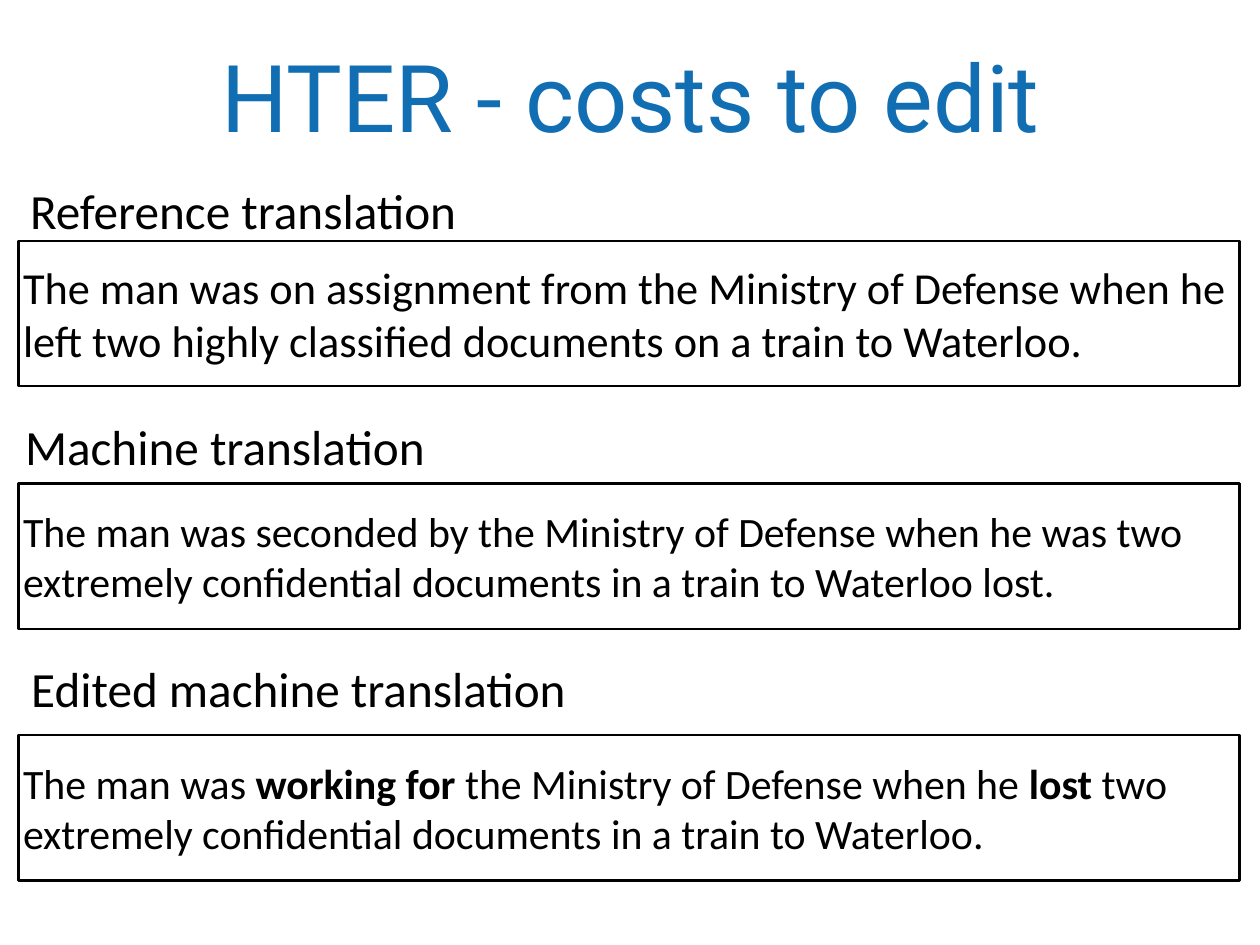
import dataclasses

import pptx
import pptx.dml.color
import pptx.enum.shapes
import pptx.enum.text
import pptx.util

Inches = pptx.util.Inches
Pt = pptx.util.Pt
ALIGN = pptx.enum.text.PP_ALIGN


@dataclasses.dataclass(frozen=True)
class Theme:
    title_color: str = "126EB2"
    ink: str = "000000"
    paper: str = "FFFFFF"
    title_font: str = "Roboto"
    body_font: str = "Calibri"
    title_size: int = 76
    label_size: int = 40
    large_size: int = 36
    body_size: int = 34
    border: int = 2
    inset: float = 0.05


THEME = Theme()
LEFT, WIDTH = 0.21, 13.78
LABEL_HEIGHT, SENTENCE_HEIGHT = 0.75, 1.64

# Label, label top, label width, sentence top, type size, (text, bold) runs
TRANSLATIONS = [
    ("Reference translation", 1.99, 5.07, 2.72, THEME.large_size, [
        ("The man was on assignment from the Ministry of Defense when he "
         "left two highly classified documents on a train to Waterloo.", False)]),
    ("Machine translation", 4.66, 4.66, 5.46, THEME.body_size, [
        ("The man was seconded by the Ministry of Defense when he was two "
         "extremely confidential documents in a train to Waterloo lost.", False)]),
    ("Edited machine translation", 7.39, 6.32, 8.3, THEME.body_size, [
        ("The man was", False),
        (" working for", True),
        (" the Ministry of Defense when he ", False),
        ("lost", True),
        (" two extremely confidential documents in a train to Waterloo.", False)]),
]


def rgb(value):
    return pptx.dml.color.RGBColor.from_string(value)


def write_text(shape, runs, size, alignment, font=THEME.body_font, color=THEME.ink):
    frame = shape.text_frame
    frame.word_wrap = True
    frame.vertical_anchor = pptx.enum.text.MSO_ANCHOR.MIDDLE
    frame.margin_left = frame.margin_right = Inches(THEME.inset)
    frame.margin_top = frame.margin_bottom = Inches(THEME.inset)
    paragraph = frame.paragraphs[0]
    paragraph.alignment = alignment
    for text, bold in runs:
        run = paragraph.add_run()
        run.text = text
        run.font.name = font
        run.font.size = Pt(size)
        run.font.bold = bold
        run.font.color.rgb = rgb(color)


def add_title(slide, box, text):
    title = slide.shapes.add_textbox(*map(Inches, box))
    write_text(title, [(text, False)], THEME.title_size, ALIGN.CENTER,
               THEME.title_font, THEME.title_color)


def add_label(slide, box, text):
    label = slide.shapes.add_textbox(*map(Inches, box))
    write_text(label, [(text, False)], THEME.label_size, ALIGN.CENTER)


def add_sentence(slide, box, runs, size):
    rectangle = slide.shapes.add_shape(
        pptx.enum.shapes.MSO_SHAPE.RECTANGLE, *map(Inches, box))
    rectangle.shadow.inherit = False
    rectangle.fill.solid()
    rectangle.fill.fore_color.rgb = rgb(THEME.paper)
    rectangle.line.color.rgb = rgb(THEME.ink)
    rectangle.line.width = Pt(THEME.border)
    write_text(rectangle, runs, size, ALIGN.LEFT)


def main():
    presentation = pptx.Presentation()
    presentation.slide_width = Inches(14.22)
    presentation.slide_height = Inches(10.67)
    slide = presentation.slides.add_slide(presentation.slide_layouts[6])

    # Title
    add_title(slide, (1.39, 0.3, 11.45, 1.55), "HTER - costs to edit")

    # Labelled translations
    for label, label_top, label_width, top, size, runs in TRANSLATIONS:
        add_sentence(slide, (LEFT, top, WIDTH, SENTENCE_HEIGHT), runs, size)
        add_label(slide, (LEFT, label_top, label_width, LABEL_HEIGHT), label)

    presentation.save("out.pptx")


if __name__ == "__main__":
    main()
